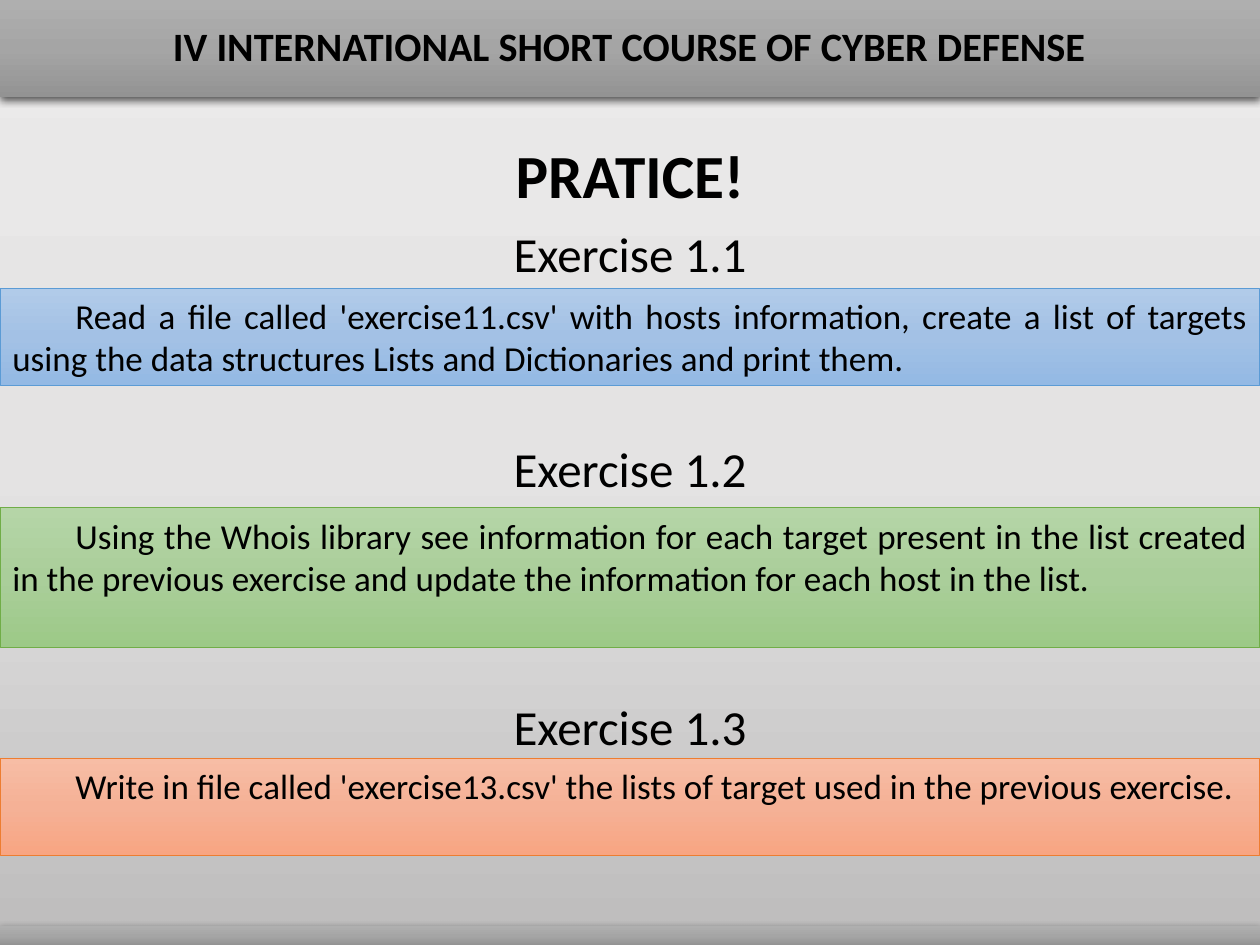
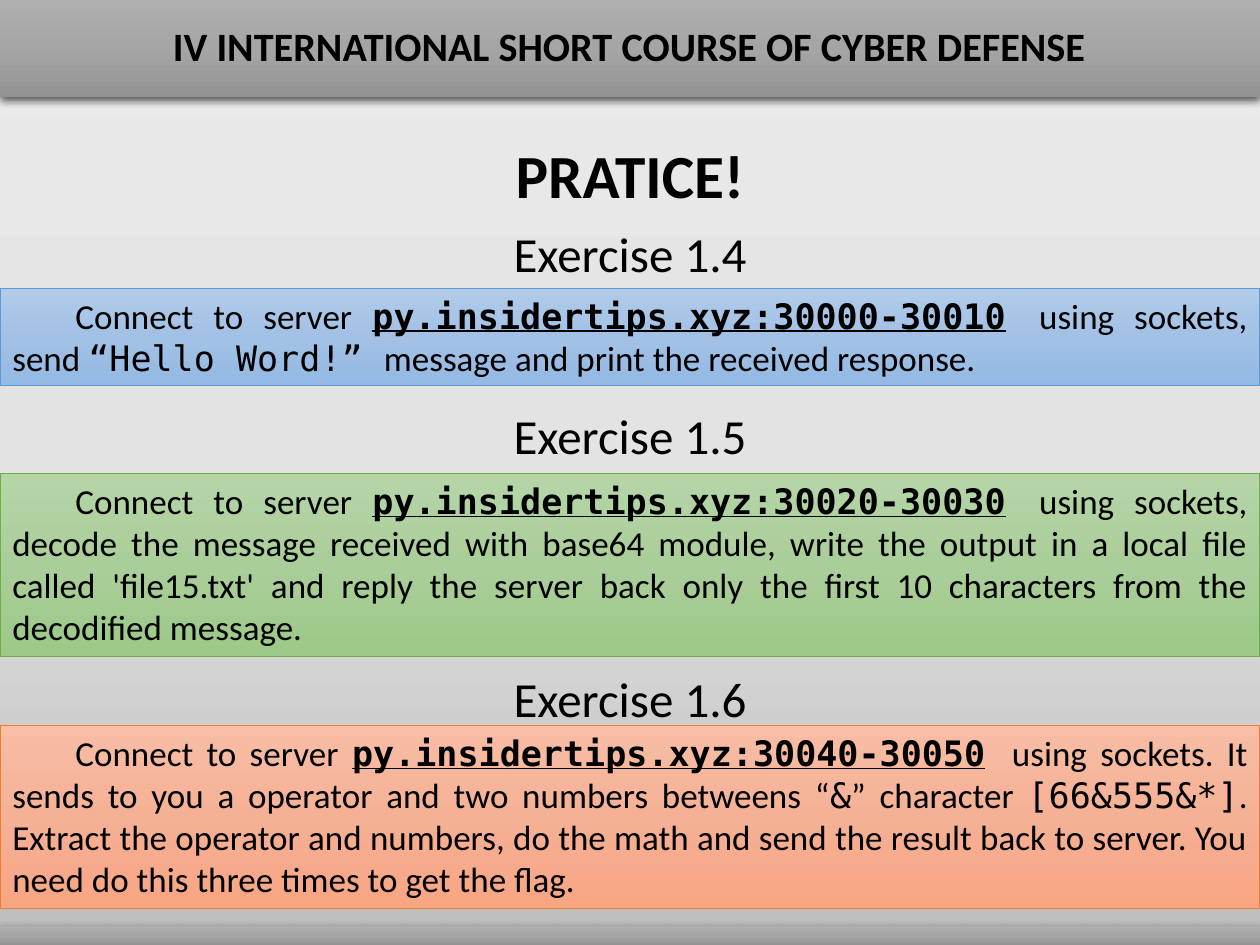
"""Build the two practice slides of the cyber defense course."""
import copy
from typing import NamedTuple

import pptx
import pptx.dml.color
import pptx.enum.shapes
import pptx.enum.text
import pptx.oxml
import pptx.oxml.ns
import pptx.util
from pptx.util import Cm

COLORS = {
    "text": "000000",
    "page": ("EBEAEA", "E4E3E3", "BDBCBC"),
    "band": ("AFAFAF", "A5A5A5", "939393"),
    "blue": ("B1CBE9", "A3C1E5", "93B9E4"),
    "green": ("B5D5A7", "AACE9A", "9CC987"),
    "orange": ("F7BDA5", "F5B196", "F8A582"),
    "blue_edge": "5B9BD5",
    "green_edge": "70AD47",
    "orange_edge": "ED7D31",
}
SANS, MONO = "Calibri", "DejaVu Sans Mono"
WIDTH, HEIGHT = Cm(25.4), Cm(19.05)
HEADER_HEIGHT, FOOTER_HEIGHT = Cm(1.96), Cm(0.38)
LABEL_HEIGHT = Cm(1.45)
COURSE = "IV INTERNATIONAL SHORT COURSE OF CYBER DEFENSE"
ALIGN = pptx.enum.text.PP_ALIGN
ANCHOR = pptx.enum.text.MSO_ANCHOR


class Run(NamedTuple):
    text: str
    font: str = SANS
    strong: bool = False


class Exercise(NamedTuple):
    number: str
    hue: str
    label_top: float
    task_top: float
    task_height: float
    task: tuple[Run, ...]


def server_task(ports: str, *rest: Run) -> tuple[Run, ...]:
    address = Run(f"py.insidertips.xyz:{ports}", MONO, True)
    return (Run("Connect to server "), address, Run(" ", MONO), *rest)


SLIDES = (
    (
        Exercise("1.1", "blue", 4.39, 5.82, 1.96, (Run(
            "Read a file called 'exercise11.csv' with hosts information, create a list of "
            "targets using the data structures Lists and Dictionaries and print them."),)),
        Exercise("1.2", "green", 8.71, 10.24, 2.82, (Run(
            "Using the Whois library see information for each target present in the list "
            "created in the previous exercise and update the information for each host in "
            "the list."),)),
        Exercise("1.3", "orange", 13.92, 15.29, 1.96, (Run(
            "Write in file called 'exercise13.csv' the lists of target used in the previous "
            "exercise."),)),
    ),
    (
        Exercise("1.4", "blue", 4.39, 5.82, 1.96, server_task(
            "30000-30010",
            Run("using sockets, send "),
            Run("“Hello Word!” ", MONO),
            Run("message and print the received response."))),
        Exercise("1.5", "green", 8.05, 9.55, 3.68, server_task(
            "30020-30030",
            Run("using sockets, decode the message received with base64 module, write the "
                "output in a local file called 'file15.txt' and reply the server back only "
                "the first 10 characters from the decodified message."))),
        Exercise("1.6", "orange", 13.36, 14.63, 3.68, server_task(
            "30040-30050",
            Run("using sockets. It sends to you a operator and two numbers betweens “"),
            Run("&", MONO),
            Run("” character "),
            Run("[66&555&*]", MONO),
            Run(". Extract the operator and numbers, do the math and send the result back "
                "to server. You need do this three times to get the flag."))),
    ),
)


def rgb(value: str) -> pptx.dml.color.RGBColor:
    return pptx.dml.color.RGBColor.from_string(value)


def paint_gradient(owner, fill, shades: tuple[str, ...]) -> None:
    fill.gradient()
    fill.gradient_angle = 270
    stops = owner.element.find(".//" + pptx.oxml.ns.qn("a:gsLst"))
    stops.append(copy.deepcopy(stops[-1]))
    for index, (stop, shade) in enumerate(zip(fill.gradient_stops, shades)):
        stop.position = index / (len(shades) - 1)
        stop.color.rgb = rgb(shade)


def write(holder, runs: tuple[Run, ...], *, size: float, bold: bool = False,
          align=ALIGN.CENTER, anchor=ANCHOR.TOP, spacing: float = 1.0,
          indent: int = 0) -> None:
    frame = holder.text_frame
    frame.word_wrap = True
    frame.vertical_anchor = anchor
    paragraph = frame.paragraphs[0]
    paragraph.alignment = align
    paragraph.line_spacing = spacing
    if indent:
        properties = paragraph._p.get_or_add_pPr()
        properties.set("marL", "0")
        properties.set("indent", str(indent))
    for part in runs:
        run = paragraph.add_run()
        run.text = part.text
        run.font.name = part.font
        run.font.size = pptx.util.Pt(size)
        run.font.bold = bold or part.strong
        run.font.underline = part.strong
        run.font.color.rgb = rgb(COLORS["text"])


def add_panel(slide, top: int, height: int, hue: str):
    panel = slide.shapes.add_shape(
        pptx.enum.shapes.MSO_SHAPE.RECTANGLE, 0, top, WIDTH, height)
    panel.shadow.inherit = False
    paint_gradient(panel, panel.fill, COLORS[hue])
    return panel


def add_band(slide, top: int, height: int):
    band = add_panel(slide, top, height, "band")
    band.line.fill.background()
    effects = band.element.spPr.find(pptx.oxml.ns.qn("a:effectLst"))
    effects.append(pptx.oxml.parse_xml(
        f'<a:outerShdw {pptx.oxml.ns.nsdecls("a")} blurRad="57150" dist="19050" '
        'dir="5400000" algn="ctr" rotWithShape="0"><a:srgbClr val="000000">'
        '<a:alpha val="63000"/></a:srgbClr></a:outerShdw>'))
    return band


def add_heading(slide, text: str, top: int, height: int, **style) -> None:
    heading = slide.shapes.add_textbox(0, top, WIDTH, height)
    write(heading, (Run(text),), **style)


def add_exercise(slide, exercise: Exercise) -> None:
    task = add_panel(slide, Cm(exercise.task_top), Cm(exercise.task_height), exercise.hue)
    task.line.color.rgb = rgb(COLORS[f"{exercise.hue}_edge"])
    task.line.width = pptx.util.Pt(0.5)
    write(task, exercise.task, size=20, align=ALIGN.JUSTIFY, indent=Cm(1.27))
    add_heading(slide, f"Exercise {exercise.number}", Cm(exercise.label_top),
                LABEL_HEIGHT, size=28)


def main() -> None:
    deck = pptx.Presentation()
    deck.slide_width, deck.slide_height = WIDTH, HEIGHT
    for exercises in SLIDES:
        slide = deck.slides.add_slide(deck.slide_layouts[6])
        paint_gradient(slide, slide.background.fill, COLORS["page"])
        header = add_band(slide, 0, HEADER_HEIGHT)
        write(header, (Run(COURSE),), size=23, bold=True, anchor=ANCHOR.MIDDLE, spacing=0.9)
        add_band(slide, HEIGHT - FOOTER_HEIGHT, FOOTER_HEIGHT)
        add_heading(slide, "PRATICE!", Cm(2.64), Cm(1.75), size=35, bold=True)
        for exercise in exercises:
            add_exercise(slide, exercise)
    deck.save("out.pptx")


if __name__ == "__main__":
    main()
